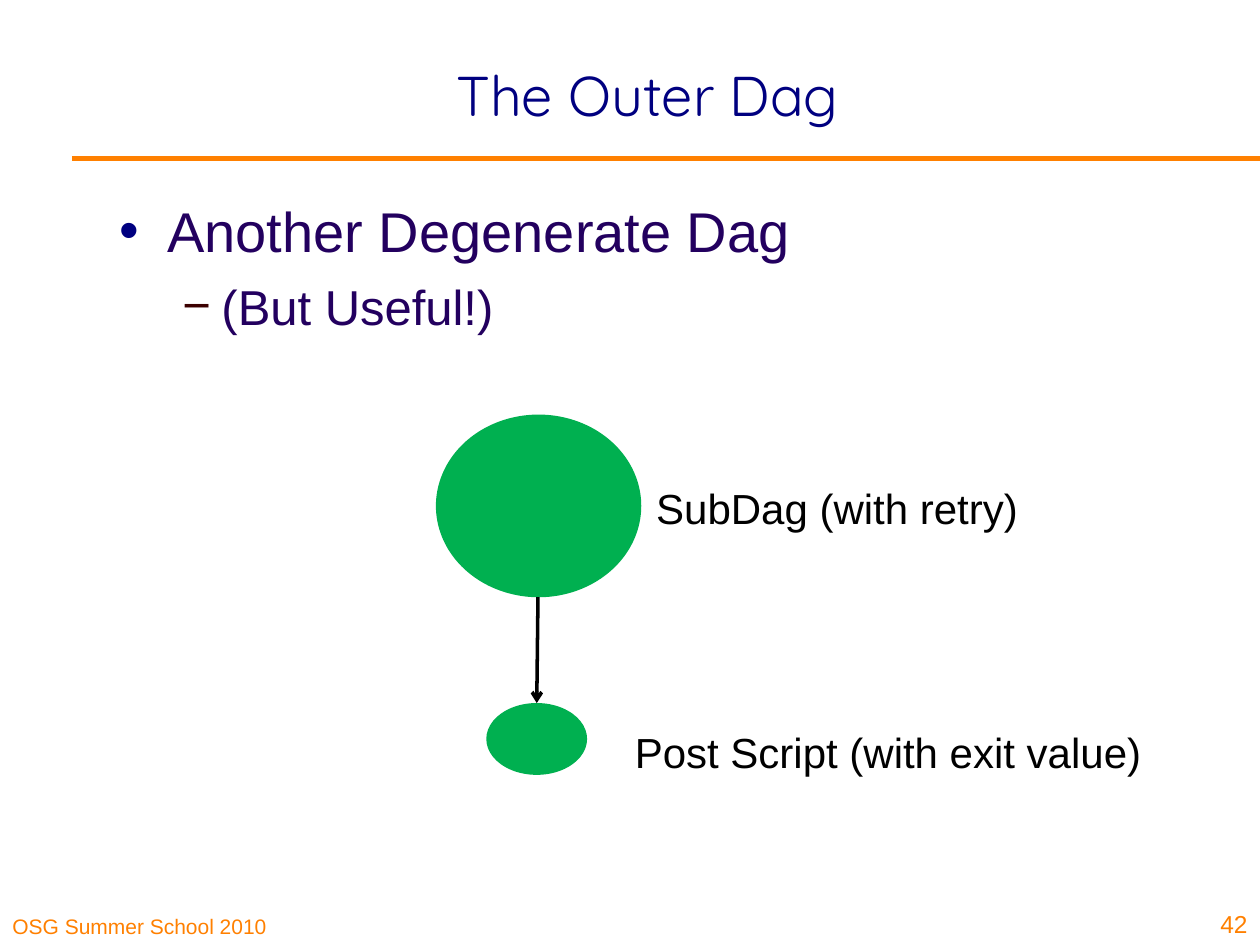
from lxml.etree import SubElement as Sub
from pptx import Presentation
from pptx.dml.color import RGBColor
from pptx.enum.shapes import MSO_CONNECTOR as Line, MSO_SHAPE as Shape
from pptx.enum.text import MSO_ANCHOR as Anchor, PP_ALIGN as Align
from pptx.oxml.ns import qn
from pptx.util import Inches, Pt

ORANGE, NAVY, GREEN, BLACK = "FF8000", "000080", "00B050", "000000"


def rgb(code):
    return RGBColor.from_string(code)


def style(para, size, color, face="Arial", align=Align.LEFT):
    para.alignment = align
    font = para.font
    font.size, font.name, font.color.rgb = Pt(size), face, rgb(color)


def add_box(slide, x, y, w, h, anchor=Anchor.TOP):
    box = slide.shapes.add_textbox(Inches(x), Inches(y), Inches(w), Inches(h))
    frame = box.text_frame
    frame.word_wrap = True
    frame.vertical_anchor = anchor
    return frame


def add_label(slide, text, at, size, color, anchor=Anchor.TOP, align=Align.LEFT):
    para = add_box(slide, *at, anchor).paragraphs[0]
    para.text = text
    style(para, size, color, align=align)


def add_title(slide, text):
    title = slide.shapes.title
    title.left, title.top = Inches(1.34), Inches(0.12)
    title.width, title.height = Inches(7.6), Inches(1.25)
    title.text_frame.vertical_anchor = Anchor.MIDDLE
    title.text_frame.text = text
    style(title.text_frame.paragraphs[0], 32, NAVY, "Quicksand", Align.CENTER)


def set_bullet(para, mark, color, left, hang):
    props = para._p.get_or_add_pPr()
    props.set("marL", str(Inches(left)))
    props.set("indent", str(-Inches(hang)))
    Sub(Sub(props, qn("a:buClr")), qn("a:srgbClr")).set("val", color)
    Sub(props, qn("a:buFont")).set("typeface", "Arial")
    Sub(props, qn("a:buChar")).set("char", mark)


def add_list(slide):
    frame = add_box(slide, 0.85, 1.46, 8.5, 1.59)
    frame.margin_top = Inches(0.1)
    first, second = frame.paragraphs[0], frame.add_paragraph()
    first.text, second.text = "Another Degenerate Dag", "(But Useful!)"
    second.level = 1
    second.space_before = Pt(7)
    set_bullet(first, "•", NAVY, 0.38, 0.38)
    set_bullet(second, "−", "3C0000", 0.81, 0.31)
    style(first, 32, "23005F")
    style(second, 28, "23005F")


def add_node(slide, x, y, w, h):
    node = slide.shapes.add_shape(
        Shape.OVAL, Inches(x), Inches(y), Inches(w), Inches(h))
    node.shadow.inherit = False
    node.fill.solid()
    node.fill.fore_color.rgb = rgb(GREEN)
    node.line.fill.background()


def add_line(slide, start, end, color, width, arrow=False):
    points = [Inches(n) for n in (*start, *end)]
    line = slide.shapes.add_connector(Line.STRAIGHT, *points)
    line.line.color.rgb = rgb(color)
    line.line.width = Pt(width)
    if arrow:
        Sub(line.line._get_or_add_ln(), qn("a:tailEnd")).set("type", "arrow")
    Sub(line._element.spPr, qn("a:effectLst"))


def main():
    deck = Presentation()
    deck.slide_width, deck.slide_height = Inches(10), Inches(7.5)
    slide = deck.slides.add_slide(deck.slide_layouts[5])

    add_label(slide, "OSG Summer School 2010", (0, 7.08, 2.48, 0.42), 12,
              ORANGE, Anchor.BOTTOM)
    add_line(slide, (0.57, 1.26), (10, 1.26), ORANGE, 3)
    add_title(slide, "The Outer Dag")
    add_list(slide)
    add_label(slide, "42", (9.54, 7, 0.46, 0.5), 14, ORANGE, Anchor.BOTTOM,
              Align.RIGHT)

    add_node(slide, 3.46, 3.29, 1.63, 1.45)
    add_node(slide, 3.86, 5.58, 0.8, 0.57)
    add_line(slide, (4.27, 4.74), (4.26, 5.58), BLACK, 2, arrow=True)
    add_label(slide, "Post Script (with exit value)", (4.94, 5.72, 4.53, 0.5),
              24, BLACK)
    add_label(slide, "SubDag (with retry)", (5.11, 3.78, 3.26, 0.5), 24, BLACK)

    deck.save("out.pptx")


if __name__ == "__main__":
    main()
